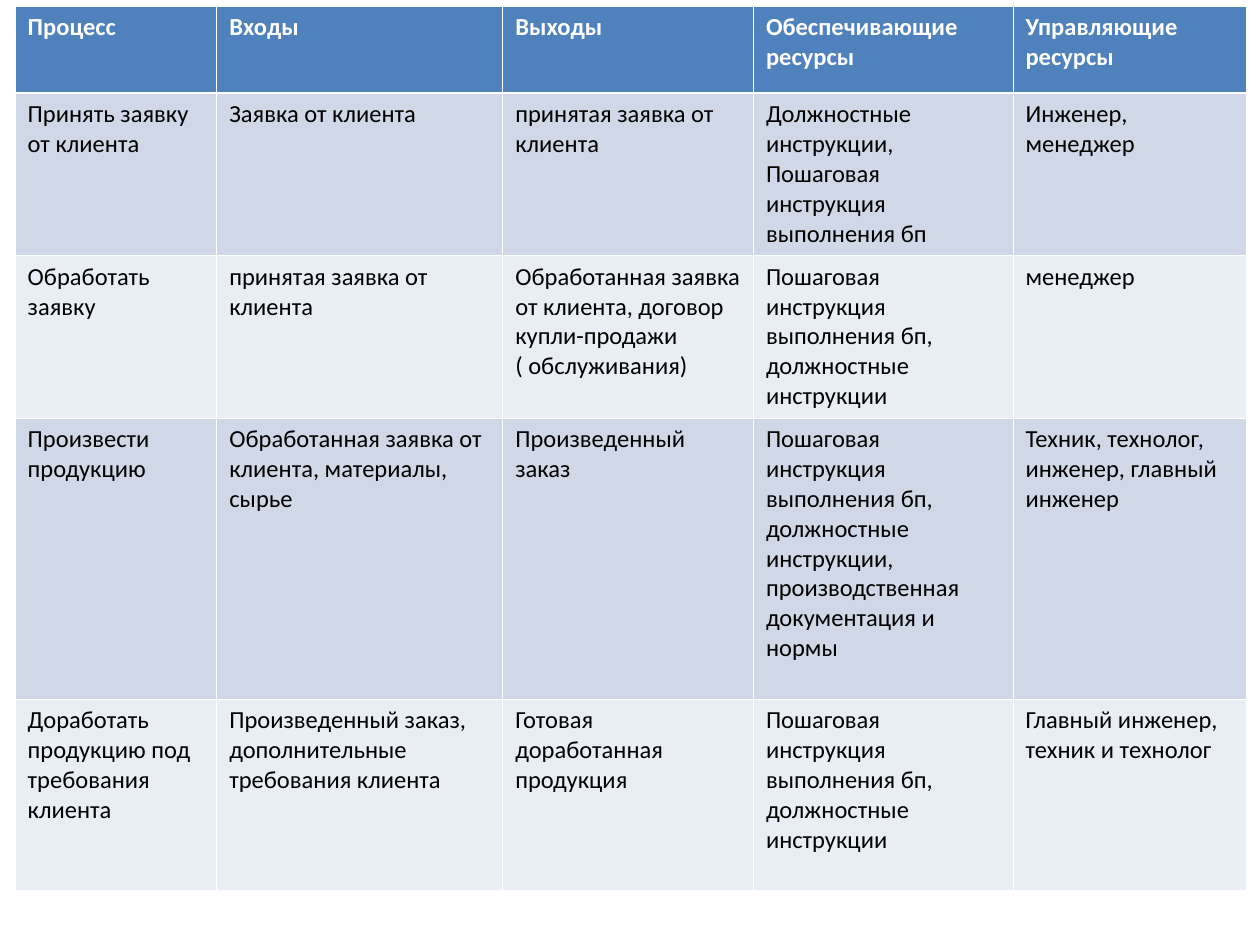
from lxml import etree
from pptx import Presentation
from pptx.dml.color import RGBColor
from pptx.oxml.ns import qn
from pptx.util import Inches, Pt

ROWS = [
    ["Процесс", "Входы", "Выходы", "Обеспечивающие ресурсы", "Управляющие ресурсы"],
    ["Принять заявку от клиента", "Заявка от клиента", "принятая заявка от клиента",
     "Должностные инструкции, Пошаговая инструкция выполнения бп", "Инженер, менеджер"],
    ["Обработать заявку", "принятая заявка от клиента",
     "Обработанная заявка от клиента, договор купли-продажи ( обслуживания)",
     "Пошаговая инструкция выполнения бп, должностные инструкции", "менеджер"],
    ["Произвести продукцию", "Обработанная заявка от клиента, материалы, сырье",
     "Произведенный заказ",
     "Пошаговая инструкция выполнения бп, должностные инструкции, "
     "производственная документация и нормы",
     "Техник, технолог, инженер, главный инженер"],
    ["Доработать продукцию под требования клиента",
     "Произведенный заказ, дополнительные требования клиента",
     "Готовая доработанная продукция",
     "Пошаговая инструкция выполнения бп, должностные инструкции",
     "Главный инженер, техник и технолог"],
]
WIDTHS = [1.6, 2.27, 1.99, 2.06, 1.85]
HEIGHTS = [0.69, 1.29, 1.29, 2.23, 1.52]
LEFT, TOP = 0.12, 0.05
THIN, THICK = 0.45, 1.47

WHITE = RGBColor(0xFF, 0xFF, 0xFF)
BLACK = RGBColor(0, 0, 0)
BLUE = RGBColor(0x4F, 0x81, 0xBD)
BANDS = [RGBColor(0xE9, 0xED, 0xF4), RGBColor(0xD0, 0xD8, 0xE8)]


def add_edge(cell, side, width):
    props = cell._tc.get_or_add_tcPr()
    line = etree.SubElement(props, qn("a:ln" + side), w=str(Pt(width)))
    fill = etree.SubElement(line, qn("a:solidFill"))
    etree.SubElement(fill, qn("a:srgbClr"), val=str(WHITE))


def fill_cell(cell, text, row):
    head = row == 0
    edges = {"L": THIN, "R": THIN,
             "T": THICK if row == 1 else THIN,
             "B": THICK if head else THIN}
    for side, width in edges.items():
        add_edge(cell, side, width)
    cell.fill.solid()
    cell.fill.fore_color.rgb = BLUE if head else BANDS[row % 2]
    run = cell.text_frame.paragraphs[0].add_run()
    run.text = text
    font = run.font
    font.name, font.size, font.bold = "Calibri", Pt(14), head
    font.color.rgb = WHITE if head else BLACK


def main():
    deck = Presentation()
    deck.slide_width, deck.slide_height = Inches(10), Inches(7.5)
    slide = deck.slides.add_slide(deck.slide_layouts[6])
    table = slide.shapes.add_table(
        len(HEIGHTS), len(WIDTHS), Inches(LEFT), Inches(TOP),
        Inches(sum(WIDTHS)), Inches(sum(HEIGHTS))).table
    for col, width in zip(table.columns, WIDTHS):
        col.width = Inches(width)
    for row, height in zip(table.rows, HEIGHTS):
        row.height = Inches(height)
    for r, texts in enumerate(ROWS):
        for c, text in enumerate(texts):
            fill_cell(table.cell(r, c), text, r)
    deck.save("out.pptx")


if __name__ == "__main__":
    main()
